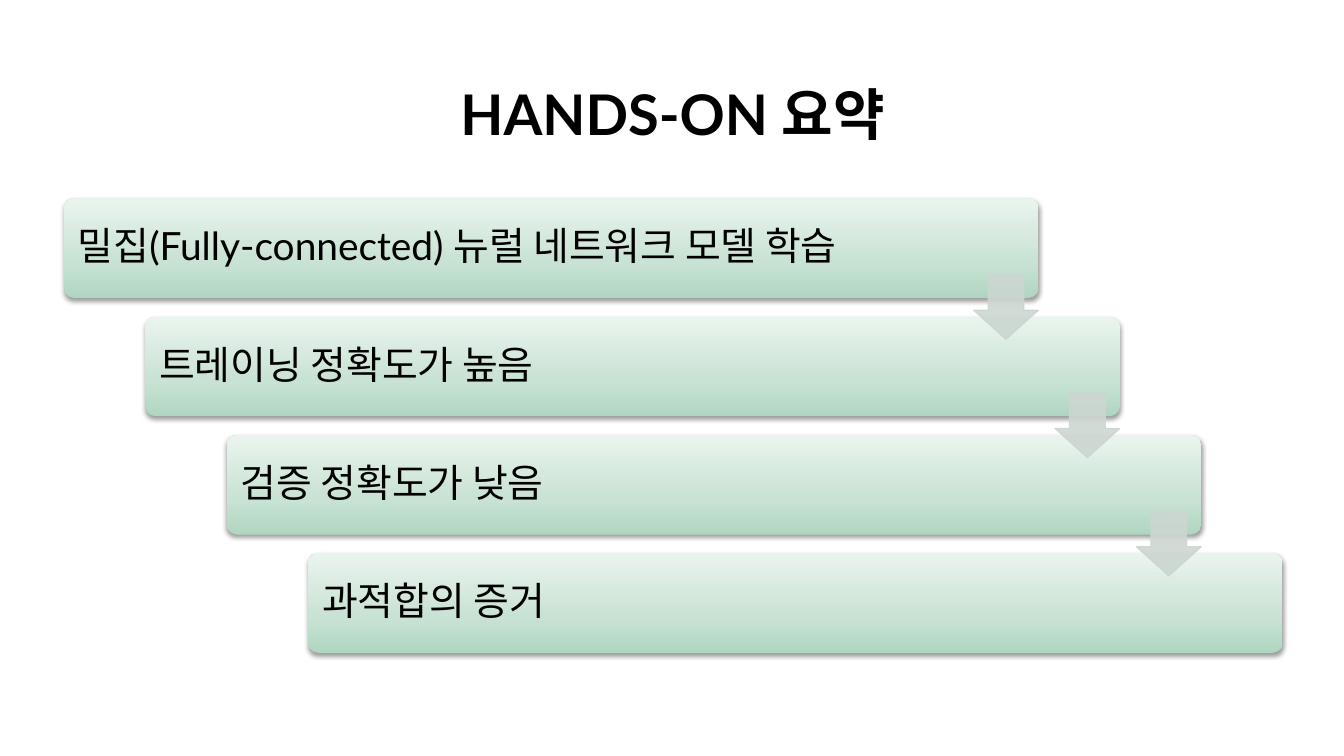
from copy import deepcopy

from lxml import etree
from pptx import Presentation
from pptx.dml.color import RGBColor
from pptx.enum.shapes import MSO_SHAPE
from pptx.enum.text import MSO_ANCHOR, PP_ALIGN
from pptx.oxml.ns import qn
from pptx.util import Cm, Pt

BAR = MSO_SHAPE.ROUNDED_RECTANGLE
ARROW = MSO_SHAPE.DOWN_ARROW
MIDDLE, BOTTOM = MSO_ANCHOR.MIDDLE, MSO_ANCHOR.BOTTOM
LEFT, CENTER = PP_ALIGN.LEFT, PP_ALIGN.CENTER

FONT = "Lato"
COLORS = {
    "text": "000000",
    "shadow": "000000",
    "bar_dark": "B0D6C1",
    "bar_mid": "C8E2D3",
    "bar_light": "EAF4EE",
    "arrow": "CCD6D0",
}
GRADIENT = [(0, "bar_dark"), (0.35, "bar_mid"), (1, "bar_light")]
STEPS = [
    "밀집(Fully-connected) 뉴럴 네트워크 모델 학습",
    "트레이닝 정확도가 높음",
    "검증 정확도가 낮음",
    "과적합의 증거",
]
BAR_WIDTH, BAR_HEIGHT = Cm(22.1), Cm(2.26)
ARROW_SIZE, ARROW_DROP = Cm(1.47), Cm(1.73)


def color(name):
    return RGBColor.from_string(COLORS[name])


def write_text(shape, text, size, align, anchor, bold=False):
    frame = shape.text_frame
    frame.word_wrap = True
    frame.vertical_anchor = anchor
    frame.text = text
    para = frame.paragraphs[0]
    para.alignment = align
    para.line_spacing = 0.9
    para.font.name = FONT
    para.font.size = Pt(size)
    para.font.bold = bold
    para.font.color.rgb = color("text")


def fill_gradient(shape):
    shape.fill.gradient()
    shape.fill.gradient_angle = 90
    stop_list = shape._element.spPr.find(qn("a:gradFill")).find(qn("a:gsLst"))
    stop_list.append(deepcopy(stop_list[0]))
    for stop, (position, name) in zip(shape.fill.gradient_stops, GRADIENT):
        stop.position = position
        stop.color.rgb = color(name)


def add_shadow(shape):
    effects = shape._element.spPr.find(qn("a:effectLst"))
    shadow = etree.SubElement(
        effects, qn("a:outerShdw"), blurRad=str(Pt(3.1)), dist=str(Pt(1.6)),
        dir="5400000", rotWithShape="0")
    tone = etree.SubElement(shadow, qn("a:srgbClr"), val=COLORS["shadow"])
    etree.SubElement(tone, qn("a:alpha"), val="38000")


def add_bar(slide, left, top, text):
    bar = slide.shapes.add_shape(BAR, left, top, BAR_WIDTH, BAR_HEIGHT)
    bar.adjustments[0] = 0.1
    bar.shadow.inherit = False
    fill_gradient(bar)
    bar.line.fill.background()
    add_shadow(bar)
    write_text(bar, text, 25, LEFT, MIDDLE)


def add_arrow(slide, left, top):
    arrow = slide.shapes.add_shape(ARROW, left, top, ARROW_SIZE, ARROW_SIZE)
    arrow.adjustments[0] = 0.55
    arrow.adjustments[1] = 0.45
    arrow.shadow.inherit = False
    arrow.line.width = Pt(0.75)
    for fill in (arrow.fill, arrow.line.fill):
        fill.solid()
        fill.fore_color.rgb = color("arrow")
    for tone in arrow._element.spPr.iter(qn("a:srgbClr")):
        etree.SubElement(tone, qn("a:alpha"), val="90000")


def place_title(slide, left, top, width, height):
    title = slide.shapes.title
    title.left, title.top, title.width, title.height = left, top, width, height
    write_text(title, "HANDS-ON 요약", 36, CENTER, BOTTOM, bold=True)


def add_staircase(slide, left, top, width, height):
    gaps = len(STEPS) - 1
    step_x = (width - BAR_WIDTH) // gaps
    step_y = (height - BAR_HEIGHT) // gaps
    for index, text in enumerate(STEPS):
        add_bar(slide, left + index * step_x, top + index * step_y, text)
    for index in range(gaps):
        bar_right = left + index * step_x + BAR_WIDTH
        add_arrow(slide, bar_right - ARROW_SIZE,
                  top + index * step_y + ARROW_DROP)


def main():
    deck = Presentation()
    deck.slide_width, deck.slide_height = Cm(30.48), Cm(17.15)
    page = deck.slides.add_slide(deck.slide_layouts[5])
    place_title(page, Cm(1.4), Cm(1.83), Cm(27.71), Cm(1.65))
    add_staircase(page, Cm(1.45), Cm(4.5), Cm(27.64), Cm(10.31))
    deck.save("out.pptx")


if __name__ == "__main__":
    main()
